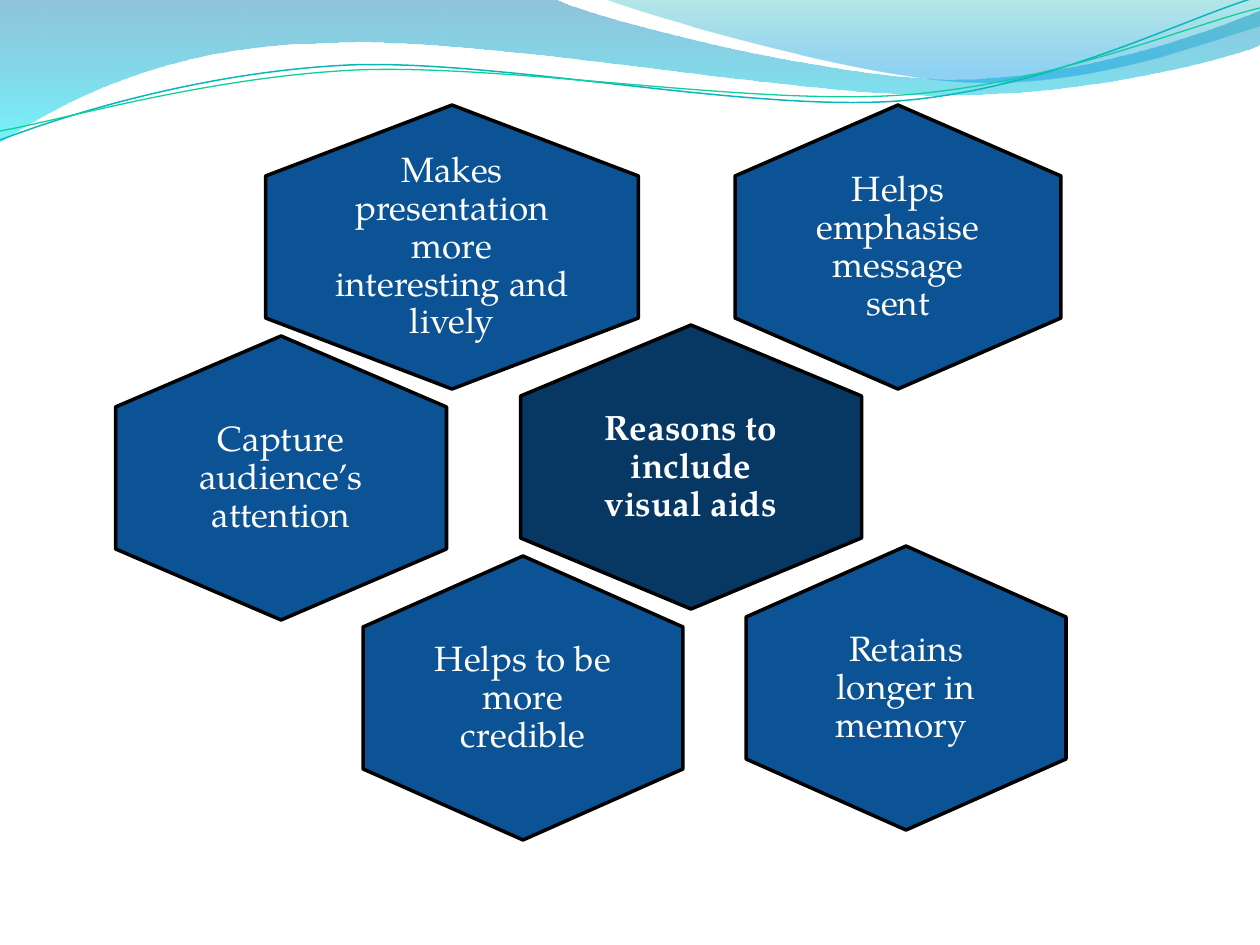
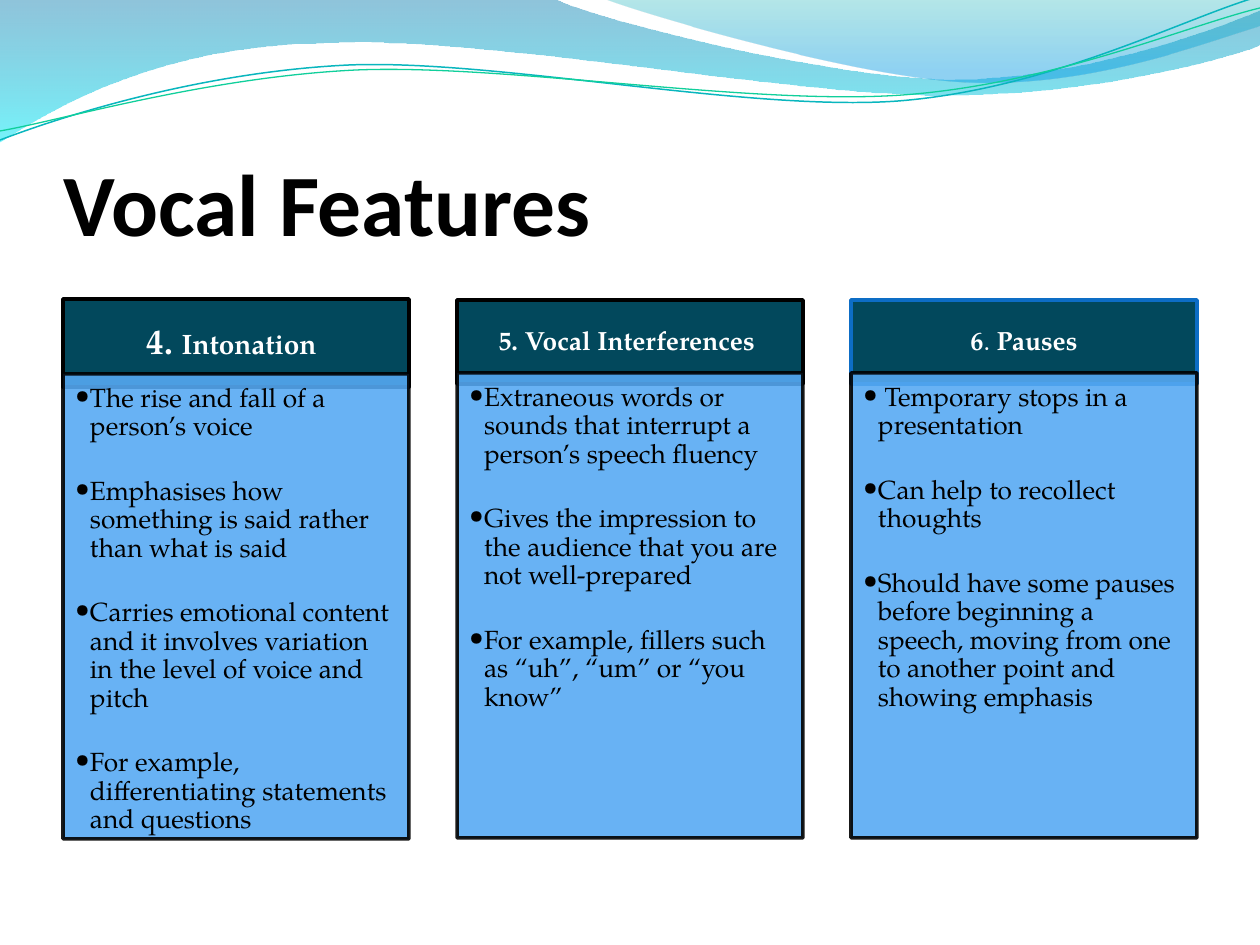
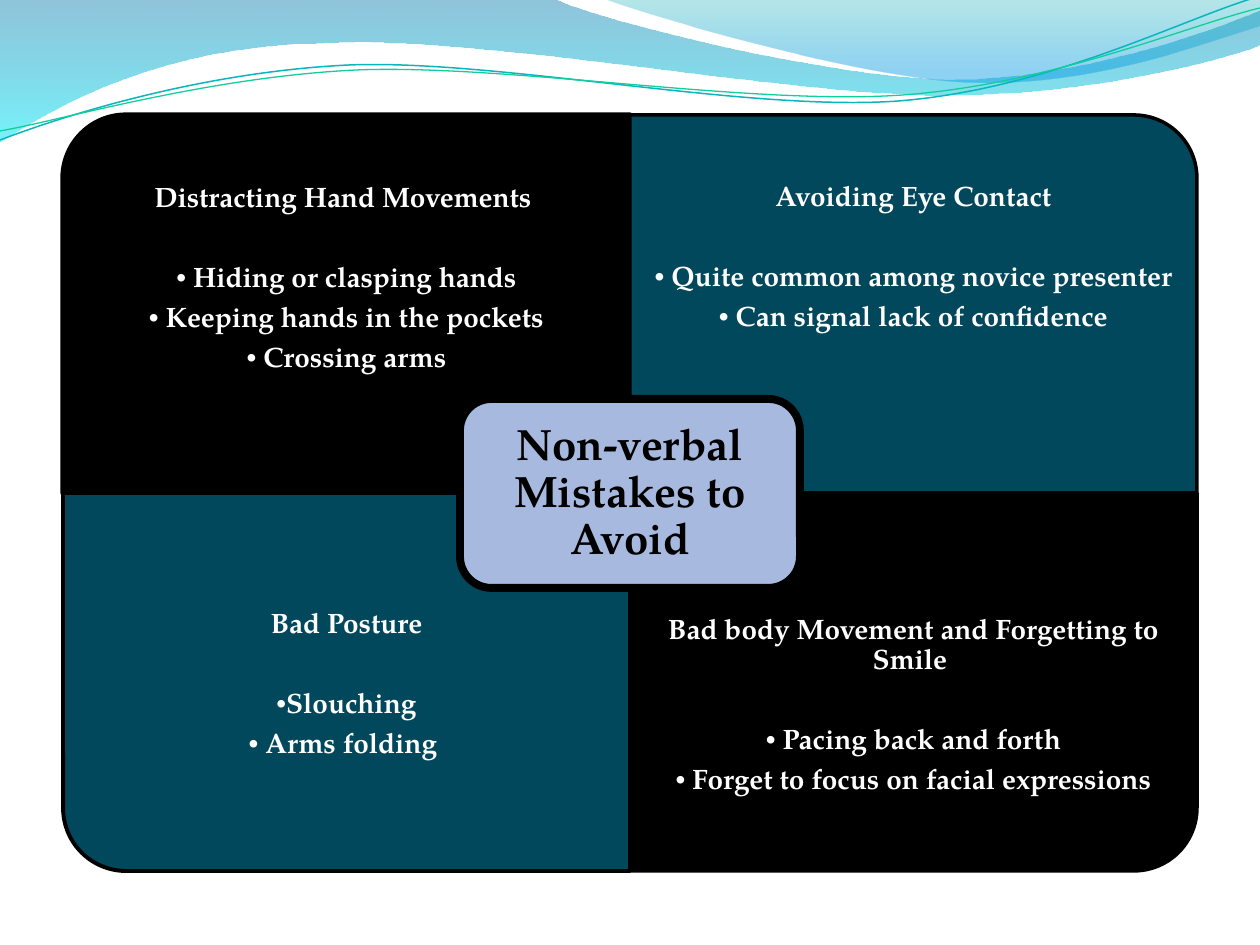
from dataclasses import dataclass

from lxml import etree
from pptx import Presentation
from pptx.dml.color import RGBColor
from pptx.enum.shapes import MSO_SHAPE
from pptx.enum.text import MSO_ANCHOR, PP_ALIGN
from pptx.oxml.ns import qn
from pptx.util import Emu, Pt

HEX = MSO_SHAPE.HEXAGON
RECT = MSO_SHAPE.RECTANGLE
ROUND = MSO_SHAPE.ROUNDED_RECTANGLE
ROUND1 = MSO_SHAPE.ROUND_1_RECTANGLE
TOP, MID, BASE = MSO_ANCHOR.TOP, MSO_ANCHOR.MIDDLE, MSO_ANCHOR.BOTTOM
LEFT, MIDDLE = PP_ALIGN.LEFT, PP_ALIGN.CENTER
SCALE = 914400 / 126  # EMU in one px


@dataclass(frozen=True)
class Theme:
    black: str = "000000"
    white: str = "FFFFFF"
    blue: str = "0B5394"
    navy: str = "073763"
    teal: str = "02485C"
    sky: str = "56A9F3"
    lilac: str = "A7B9DF"
    edge: str = "0D6DC5"
    body: str = "TeX Gyre Pagella"
    head: str = "Calibri"
    mark: str = "Times New Roman"
    title: int = 50
    hub: int = 25
    large: int = 20
    mid: int = 16
    small: int = 15


T = Theme()

# Wave outlines: pairs are line ends, sixes are curves
WAVES = [
    ([(0, 0), (554, -1), (600, 21, 837, 79, 955, 79),
      (1075, 79, 1207, 33, 1260, 11), (1261, 45),
      (1239, 55, 1096, 96, 940, 95), (783, 95, 481, 35, 324, 43),
      (163, 45, 58, 105, -1, 142)],
     [(0, "0079AD", 44), (1, "00E9F7", 54)]),
    ([(604, -1), (641, 14, 859, 78, 969, 82),
      (1095, 87, 1211, 40, 1260, 26), (1260, 0)],
     [(0, "00ABB4", 29), (0.8, "0099E4", 44)]),
]
LINES = [
    ([(0, 140), (60, 117, 199, 72, 349, 65), (497, 59, 747, 112, 898, 101),
      (1050, 89, 1182, 19, 1257, -3)], "09B6BE", 0.85),
    ([(0, 131), (59, 121, 207, 77, 357, 70), (508, 64, 752, 106, 903, 95),
      (1053, 84, 1186, 26, 1260, 8)], "10CF9B", 0.75),
]

# Hexagons: centre x, centre y, width, text padding, text
REASONS = [
    (898, 247, 326, 10, "Helps emphasise message sent"),
    (452, 247, 373, 0, "Makes presentation more interesting and lively"),
    (691, 467, 341, 10, "Reasons to include visual aids"),
    (906, 688, 320, 0, "Retains longer in memory "),
    (523, 698, 320, 10, "Helps to be more credible"),
    (281, 478, 331, 0, "Capture audience’s attention"),
]
HUB = 2

# Columns: header top and height, header padding, edge, header runs, points
VOICE = [
    (299, 88, (20, 11), T.black,
     [("4. ", {"size": T.large}), ("Intonation", {"size": T.mid}),
      (" ", {"size": T.large})],
     ["The rise and fall of a person’s voice",
      "Emphasises how something is said rather than what is said",
      "Carries emotional content and it involves variation in the level of "
      "voice and pitch",
      "For example, differentiating statements and questions"]),
    (300, 84, (15, 9), T.black,
     [("5. Vocal Interferences ", {})],
     ["Extraneous words or sounds that interrupt a person’s speech fluency",
      "Gives the impression to the audience that you are not well-prepared",
      "For example, fillers such as “uh”, “um” or “you know”"]),
    (300, 84, (15, 9), T.edge,
     [("6", {}), (". ", {"bold": False}), ("Pauses", {})],
     [" Temporary stops in a presentation",
      "Can help to recollect thoughts",
      "Should have some pauses before beginning a speech, moving from one to "
      "another point and showing emphasis"]),
]

# Quarters: turn, fill, line width, side pad, top pad, heading, marked points
ERRORS = [
    (270, T.black, 3, 15, 68, "Distracting Hand Movements ",
     [("• ", "Hiding or clasping hands"),
      ("• ", "Keeping hands in the pockets"),
      ("• ", "Crossing arms")]),
    (0, T.teal, 2, 15, 67, "Avoiding Eye Contact",
     [("• ", "Quite common among novice presenter"),
      (" • ", "Can signal lack of confidence ")]),
    (180, T.teal, 2.25, 15, 22, "Bad Posture",
     [("•", "Slouching"), ("• ", "Arms folding ")]),
    (90, T.black, 2, 11, 28, "Bad body Movement and Forgetting to Smile ",
     [("• ", "Pacing back and forth"),
      ("• ", "Forget to focus on facial expressions")]),
]


def px(n):
    return Emu(round(n * SCALE))


def rgb(code):
    return RGBColor.from_string(code)


def fade(node, share):
    """Give every colour under the node an opacity in percent."""
    for tone in node.iter(qn("a:srgbClr")):
        etree.SubElement(tone, qn("a:alpha")).set("val", str(share * 1000))


def paint(shape, fill, edge, width):
    shape.shadow.inherit = False
    shape.fill.solid()
    shape.fill.fore_color.rgb = rgb(fill)
    shape.line.color.rgb = rgb(edge)
    shape.line.width = Pt(width)


def block(slide, kind, box, fill, edge=T.black, width=2, turn=0):
    """Add a preset shape that covers the box after its turn."""
    x, y, w, h = box
    if turn % 180:
        x, y, w, h = x + (w - h) / 2, y + (h - w) / 2, h, w
    shape = slide.shapes.add_shape(kind, px(x), px(y), px(w), px(h))
    shape.rotation = turn
    paint(shape, fill, edge, width)
    return shape


def label(slide, box):
    return slide.shapes.add_textbox(*map(px, box))


def frame(shape, pads, anchor):
    text = shape.text_frame
    text.word_wrap = True
    text.vertical_anchor = anchor
    (text.margin_left, text.margin_top,
     text.margin_right, text.margin_bottom) = map(px, pads)
    return text


def style(font, size=None, bold=None, name=None, color=None):
    if size is not None:
        font.size = Pt(size)
    if bold is not None:
        font.bold = bold
    if name is not None:
        font.name = name
    if color is not None:
        font.color.rgb = rgb(color)


def bullet(para):
    props = para._p.get_or_add_pPr()
    props.set("marL", str(px(15)))
    props.set("indent", str(px(-15)))
    tone = etree.SubElement(props, qn("a:buClr"))
    etree.SubElement(tone, qn("a:srgbClr")).set("val", T.black)
    etree.SubElement(props, qn("a:buFont")).set("typeface", T.body)
    etree.SubElement(props, qn("a:buChar")).set("char", "•")


def write(text, runs, size, color=T.white, bold=False, name=T.body,
          align=MIDDLE, gap=0, space=0.9, dot=False):
    """Fill the first empty paragraph, or add one after a gap."""
    last = text.paragraphs[-1]
    first = not last.runs
    para = last if first else text.add_paragraph()
    if dot:
        bullet(para)
    para.alignment = align
    para.line_spacing = space
    para.space_before = Pt(0 if first else gap)
    style(para.font, size, bold, name, color)
    for words, look in runs:
        run = para.add_run()
        run.text = words
        style(run.font, **look)


def bend(ends):
    """Turn three line ends into one cubic curve."""
    curve = etree.Element(qn("a:cubicBezTo"))
    ends[0].addprevious(curve)
    for end in ends:
        curve.append(end[0])
        end.getparent().remove(end)


def trace(slide, parts, close):
    """Draw an outline of lines and cubic curves."""
    spots = [(px(x), px(y)) for part in parts
             for x, y in zip(part[::2], part[1::2])]
    pen = slide.shapes.build_freeform(*spots[0])
    pen.add_line_segments(spots[1:], close=close)
    shape = pen.convert_to_shape()
    shape.shadow.inherit = False
    ends = iter(list(shape._element.iter(qn("a:lnTo"))))
    for part in parts[1:]:
        group = [next(ends) for _ in part[::2]]
        if len(group) == 3:
            bend(group)
    return shape


def waves(slide):
    for parts, stops in WAVES:
        wave = trace(slide, parts, True)
        wave.line.fill.background()
        wave.fill.gradient()
        wave.fill.gradient_angle = 270
        for stop, (place, color, share) in zip(wave.fill.gradient_stops, stops):
            stop.position = place
            stop.color.rgb = rgb(color)
            fade(stop.color._xFill, share)
    for parts, color, width in LINES:
        line = trace(slide, parts, False)
        line.fill.background()
        line.line.color.rgb = rgb(color)
        line.line.width = Pt(width)


def page(deck):
    slide = deck.slides.add_slide(deck.slide_layouts[6])
    waves(slide)
    return slide


def reasons(slide):
    high = 284
    for i, (cx, cy, wide, pad, words) in enumerate(REASONS):
        hub = i == HUB
        box = (cx - wide / 2, cy - high / 2, wide, high)
        block(slide, HEX, box, T.navy if hub else T.blue, turn=90)
        w, h = wide * 2 / 3, high * 2 / 3
        text = frame(label(slide, (cx - w / 2, cy - h / 2, w, h)),
                     [pad] * 4, MID)
        write(text, [(words, {})], T.large, bold=hub)


def voice(slide):
    title = frame(label(slide, (64, 96, 1134, 158)), (0, 6, 0, 0), BASE)
    write(title, [("Vocal Features", {})], T.title, T.black, True, T.head,
          LEFT, space=1)
    for i, (top, high, pads, edge, runs, points) in enumerate(VOICE):
        x = 63 + 394 * i
        head = block(slide, RECT, (x, top, 346, high), T.teal, edge)
        write(frame(head, pads * 2, MID), runs, T.small, bold=True)
        body = block(slide, RECT, (x, 374 if i == 0 else 373, 346, 465), T.sky)
        fade(body._element.spPr, 89)
        text = frame(body, (12, 11, 15, 16), TOP)
        for point in points:
            write(text, [(point, {})], T.small, T.black, align=LEFT,
                  gap=20.7, dot=True)


def errors(slide):
    wide, high = 567, 378
    for i, (turn, fill, width, side, top, head, points) in enumerate(ERRORS):
        row, col = divmod(i, 2)
        x, y = 63 + wide * col, 115 + high * row
        block(slide, ROUND1, (x, y, wide, high), fill, width=width, turn=turn)
        spot = (x, y + 94 * row, wide, 284)
        text = frame(label(slide, spot), (side, top, side, 0), TOP)
        write(text, [(head, {})], T.mid, bold=True)
        for j, (mark, words) in enumerate(points):
            write(text, [(mark, {"name": T.mark}), (words, {})], T.mid,
                  bold=True, gap=5.6 if j else 28.8)
    hub = block(slide, ROUND, (460, 399, 340, 189), T.lilac, width=4.5)
    write(frame(hub, [13] * 4, MID), [("Non-verbal Mistakes to Avoid", {})],
          T.hub, T.black, True)


def main():
    deck = Presentation()
    deck.slide_width, deck.slide_height = px(1260), px(945)
    for draw in (reasons, voice, errors):
        draw(page(deck))
    deck.save("out.pptx")


if __name__ == "__main__":
    main()
